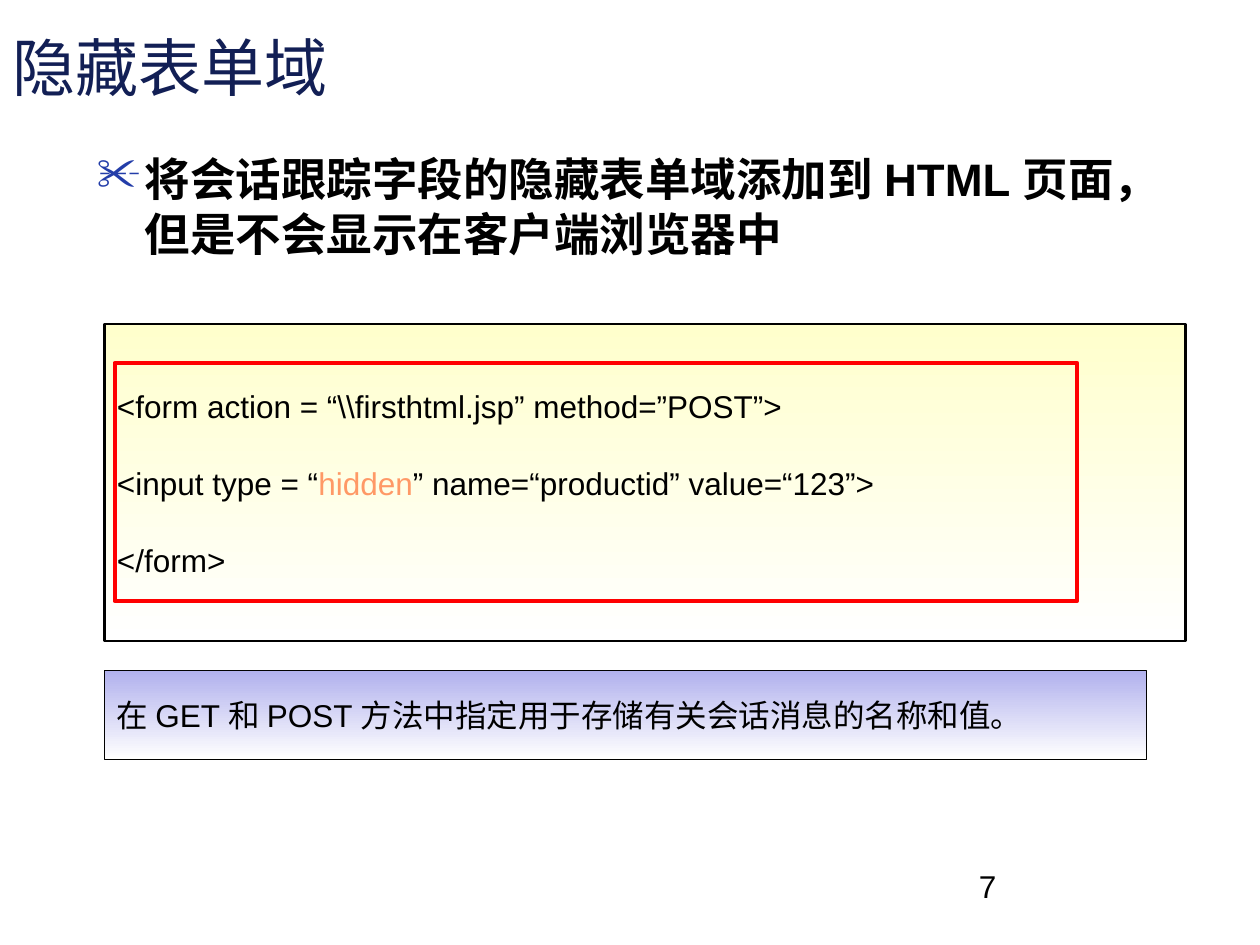
from dataclasses import dataclass

from lxml.etree import SubElement
from pptx import Presentation
from pptx.dml.color import RGBColor
from pptx.enum.shapes import MSO_SHAPE
from pptx.enum.text import MSO_ANCHOR, PP_ALIGN
from pptx.oxml.ns import qn
from pptx.util import Inches, Pt


@dataclass(frozen=True)
class Theme:
    """Colours, font and type sizes of the slide."""

    font: str = "Arial"
    title: str = "121F55"
    bullet: str = "233DA9"
    text: str = "000000"
    keyword: str = "FF9966"
    frame: str = "FF0000"
    code_fill: str = "FFFFCC"
    note_fill: str = "B1B1ED"
    paper: str = "FFFFFF"
    title_size: int = 36
    body_size: int = 26
    small_size: int = 18


class SlideBuilder:
    """Adds styled elements to one slide."""

    def __init__(self, slide, theme):
        """Keep the slide and its theme."""
        self.slide = slide
        self.theme = theme

    def style(self, paragraph, size, color, bold=False):
        """Align a paragraph left and set its font."""
        paragraph.alignment = PP_ALIGN.LEFT
        font = paragraph.font
        font.name, font.size, font.bold = self.theme.font, Pt(size), bold
        font.color.rgb = RGBColor.from_string(color)

    def title(self, text, left, top, width, height):
        """Place and fill the title placeholder."""
        shape = self.slide.shapes.title
        shape.left, shape.top = Inches(left), Inches(top)
        shape.width, shape.height = Inches(width), Inches(height)
        shape.text_frame.text = text
        shape.text_frame.vertical_anchor = MSO_ANCHOR.MIDDLE
        self.style(shape.text_frame.paragraphs[0], self.theme.title_size, self.theme.title)

    def text(self, text, box, size, bold=False):
        """Add a wrapped text box and return its paragraph."""
        shape = self.slide.shapes.add_textbox(*map(Inches, box))
        shape.text_frame.word_wrap = True
        paragraph = shape.text_frame.paragraphs[0]
        paragraph.text = text
        self.style(paragraph, size, self.theme.text, bold)
        return paragraph

    def bullet(self, text, box, symbol="✂", indent=0.38):
        """Add a bold bulleted statement."""
        paragraph = self.text(text, box, self.theme.body_size, bold=True)
        properties = paragraph._p.get_or_add_pPr()
        properties.set("marL", str(Inches(indent)))
        properties.set("indent", str(-Inches(indent)))
        color = properties.makeelement(qn("a:buClr"), {})
        SubElement(color, qn("a:srgbClr"), val=self.theme.bullet)
        character = properties.makeelement(qn("a:buChar"), {"char": symbol})
        properties.insert(0, color)
        properties.insert(1, character)

    def rectangle(self, box, line, line_width, fill=None):
        """Add an outlined rectangle, empty or fading down to paper."""
        shape = self.slide.shapes.add_shape(MSO_SHAPE.RECTANGLE, *map(Inches, box))
        shape.shadow.inherit = False
        shape.line.color.rgb = RGBColor.from_string(line)
        shape.line.width = Pt(line_width)
        if fill is None:
            shape.fill.background()
            return shape
        shape.fill.gradient()
        shape.fill.gradient_angle = 270
        for stop, color in zip(shape.fill.gradient_stops, (fill, self.theme.paper)):
            stop.color.rgb = RGBColor.from_string(color)
        return shape

    def panel(self, lines, box, line_width, fill, gap=0, keyword=None):
        """Add a filled rectangle of text lines with one keyword highlighted."""
        frame = self.rectangle(box, self.theme.text, line_width, fill).text_frame
        frame.word_wrap = True
        frame.vertical_anchor = MSO_ANCHOR.MIDDLE
        for index, line in enumerate(lines):
            paragraph = frame.add_paragraph() if index else frame.paragraphs[0]
            if index:
                paragraph.space_before = Pt(gap)
            self.style(paragraph, self.theme.small_size, self.theme.text)
            before, found, after = line.partition(keyword) if keyword else (line, "", "")
            for part in filter(None, (before, found, after)):
                run = paragraph.add_run()
                run.text = part
                color = self.theme.keyword if part == keyword else self.theme.text
                run.font.color.rgb = RGBColor.from_string(color)


def main():
    """Build and save the slide."""
    presentation = Presentation()
    presentation.slide_width, presentation.slide_height = Inches(10), Inches(7.5)
    theme = Theme()
    slide = presentation.slides.add_slide(presentation.slide_layouts[5])
    builder = SlideBuilder(slide, theme)
    builder.title("隐藏表单域", 0, 0.13, 10, 0.79)
    builder.bullet(
        "将会话跟踪字段的隐藏表单域添加到 HTML 页面，但是不会显示在客户端浏览器中",
        (0.67, 1.15, 8.83, 5.98),
    )
    builder.text("7", (7.67, 6.83, 2.33, 0.5), theme.small_size)
    code = (
        "<form action = “\\\\firsthtml.jsp” method=”POST”>",
        "<input type = “hidden” name=“productid” value=“123”>",
        "</form>",
    )
    builder.panel(code, (0.83, 2.57, 8.58, 2.52), 1.25, theme.code_fill, 22.5, "hidden")
    builder.rectangle((0.91, 2.88, 7.64, 1.89), theme.frame, 2.25)
    note = "在 GET 和 POST 方法中指定用于存储有关会话消息的名称和值。"
    builder.panel([note], (0.83, 5.32, 8.27, 0.71), 0.75, theme.note_fill)
    presentation.save("out.pptx")


if __name__ == "__main__":
    main()
